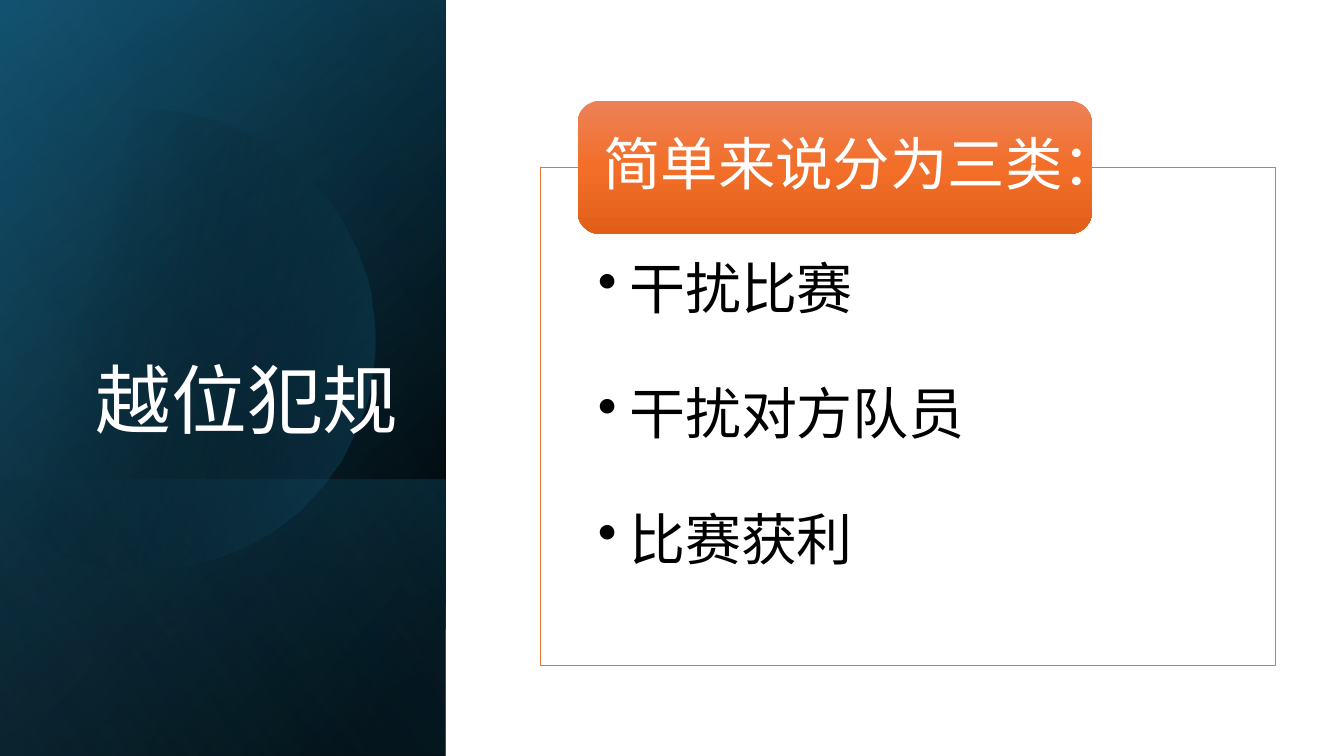
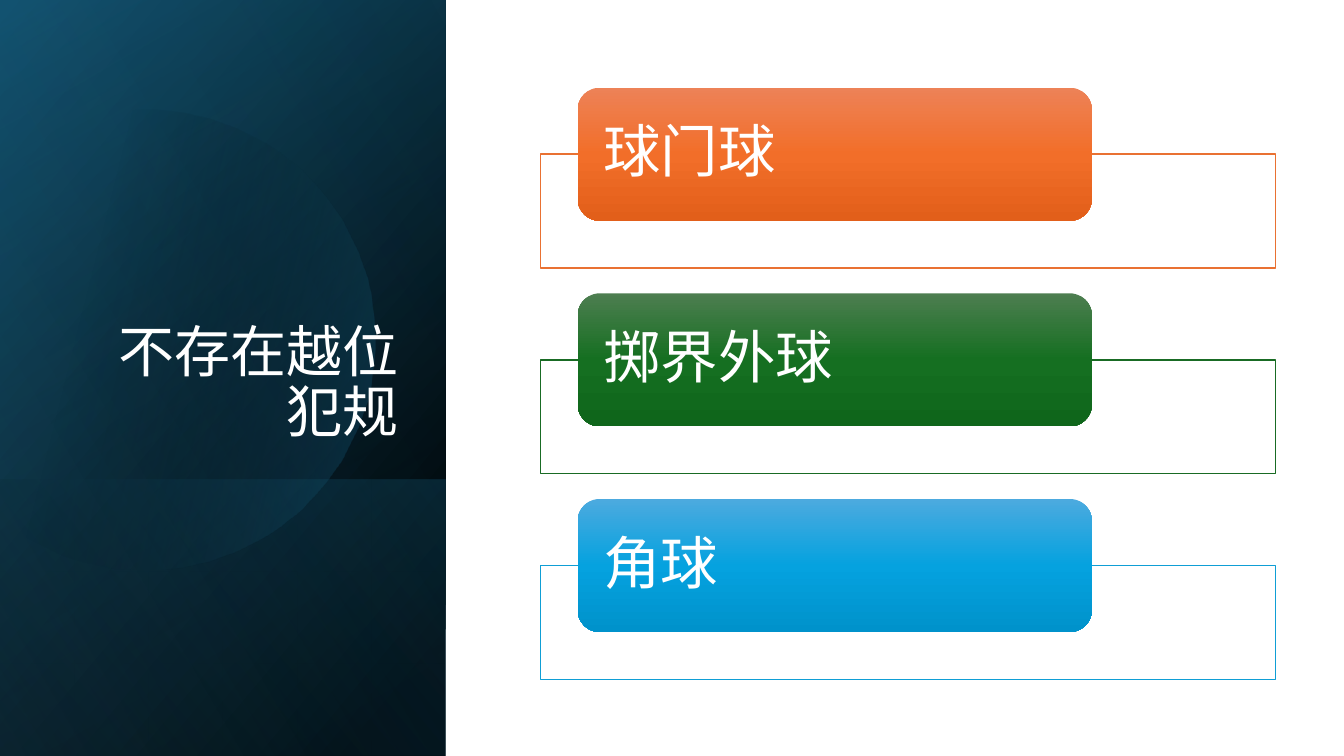
import math
from dataclasses import dataclass

from lxml import etree
from pptx import Presentation
from pptx import util as u
from pptx.dml.color import RGBColor
from pptx.enum import lang, shapes, text
from pptx.oxml.ns import qn

PX = 9144
SLIDE_W, SLIDE_H = 1333, 750
PANEL_W = 442
FONT = "Noto Sans CJK SC"
COLORS = {
    "black": "000000",
    "white": "FFFFFF",
    "navy": "104862",
    "teal": "156082",
    "sky": "46B1E1",
    "orange": "E97132",
    "green": "196B24",
    "blue": "0F9ED5",
}
CARD_SHADES = {
    "orange": ("ED8257", "F26E29", "E25F1A"),
    "green": ("4D7E50", "156F21", "0F661B"),
    "blue": ("4CAADF", "05A2DF", "0092CB"),
}


@dataclass(frozen=True)
class Stop:
    position: int
    color: str
    opacity: int = 100


@dataclass(frozen=True)
class Layer:
    top: int
    angle: int
    stops: tuple[Stop, ...]


@dataclass(frozen=True)
class Category:
    label: str
    accent: str
    top: int
    frame_height: int
    items: tuple[str, ...] = ()


@dataclass(frozen=True)
class Topic:
    title: str
    title_size: int
    categories: tuple[Category, ...]


BLACK, TEAL, SKY = COLORS["black"], COLORS["teal"], COLORS["sky"]
LAYERS_BELOW_DISC = (
    Layer(0, 50, (Stop(8, BLACK), Stop(100, COLORS["navy"]))),
    Layer(0, 30, (Stop(0, BLACK, 0), Stop(99, TEAL, 46))),
    Layer(476, 130, (Stop(2, TEAL, 29), Stop(100, BLACK, 30))),
)
DISC_STOPS = (Stop(29, BLACK, 0), Stop(100, TEAL, 43))
LAYER_ABOVE_DISC = Layer(0, 120, (Stop(0, BLACK, 0), Stop(99, SKY, 11)))

RESTARTS = (("球门球", "orange"), ("掷界外球", "green"), ("角球", "blue"))
TOPICS = (
    Topic("越位犯规", 54, (
        Category("简单来说分为三类：", "orange", 100, 494,
                 ("干扰比赛", "干扰对方队员", "比赛获利")),
    )),
    Topic("不存在越位犯规", 40, tuple(
        Category(label, accent, 87 + 204 * row, 113)
        for row, (label, accent) in enumerate(RESTARTS)
    )),
)


def px(*lengths: int) -> list[int]:
    return [round(length * PX) for length in lengths]


def rgb(name: str) -> RGBColor:
    return RGBColor.from_string(COLORS[name])


def fill_gradient(shape, stops: tuple[Stop, ...], angle: int) -> None:
    shape.shadow.inherit = False
    shape.line.fill.background()
    shape.fill.gradient()
    gradient = shape._element.spPr.find(qn("a:gradFill"))
    for child in list(gradient):
        gradient.remove(child)
    gradient.set("rotWithShape", "1")
    stop_list = etree.SubElement(gradient, qn("a:gsLst"))
    for stop in stops:
        mark = etree.SubElement(stop_list, qn("a:gs"), pos=str(stop.position * 1000))
        color = etree.SubElement(mark, qn("a:srgbClr"), val=stop.color)
        if stop.opacity < 100:
            etree.SubElement(color, qn("a:alpha"), val=str(stop.opacity * 1000))
    etree.SubElement(gradient, qn("a:lin"), ang=str(angle * 60000), scaled="0")


def style_paragraph(paragraph, size: int, color: str) -> None:
    paragraph.line_spacing = 0.9
    font = paragraph.font
    font.size = u.Pt(size)
    font.color.rgb = rgb(color)
    font.name = FONT
    font.language_id = lang.MSO_LANGUAGE_ID.SIMPLIFIED_CHINESE
    latin = font._element.find(qn("a:latin"))
    latin.addnext(etree.Element(qn("a:ea"), typeface=FONT))


def set_margins(frame, left: int, top: int, right: int, bottom: int) -> None:
    frame.word_wrap = True
    frame.margin_left, frame.margin_top, frame.margin_right, frame.margin_bottom = px(
        left, top, right, bottom)


def draw_layer(slide, layer: Layer) -> None:
    height = SLIDE_H - layer.top
    left = (PANEL_W - height) / 2
    top = layer.top + (height - PANEL_W) / 2
    band = slide.shapes.add_shape(
        shapes.MSO_SHAPE.RECTANGLE, *px(left, top, height, PANEL_W))
    band.rotation = 90
    band._element.spPr.find(qn("a:xfrm")).set("flipH", "1")
    fill_gradient(band, layer.stops, layer.angle)


def draw_disc(slide) -> None:
    center_x, center_y, radius, cut_x, steps = 144, 337, 228, -15, 120
    limit = math.acos((cut_x - center_x) / radius)
    angles = [limit * (2 * step / steps - 1) for step in range(steps + 1)]
    rim = [(center_x + radius * math.cos(a), center_y + radius * math.sin(a))
           for a in angles]
    outline = slide.shapes.build_freeform(*rim[0], scale=float(PX))
    outline.add_line_segments(rim[1:], close=True)
    fill_gradient(outline.convert_to_shape(), DISC_STOPS, 14)


def draw_title(slide, topic: Topic) -> None:
    title = slide.shapes.add_textbox(*px(64, 184, 341, 262)).text_frame
    set_margins(title, 10, 5, 10, 5)
    title.vertical_anchor = text.MSO_ANCHOR.BOTTOM
    paragraph = title.paragraphs[0]
    paragraph.text = topic.title
    paragraph.alignment = text.PP_ALIGN.RIGHT
    style_paragraph(paragraph, topic.title_size, "white")


def write_items(frame, items: tuple[str, ...]) -> None:
    set_margins(frame, 57, 93, 57, 31)
    frame.vertical_anchor = text.MSO_ANCHOR.TOP
    for index, item in enumerate(items):
        paragraph = frame.add_paragraph() if index else frame.paragraphs[0]
        paragraph.text = item
        paragraph.alignment = text.PP_ALIGN.LEFT
        properties = paragraph._p.get_or_add_pPr()
        indent = px(31)[0]
        properties.set("marL", str(indent))
        properties.set("indent", str(-indent))
        etree.SubElement(properties, qn("a:buChar"), char="•")
        if index:
            paragraph.space_before = u.Pt(46.5)
        style_paragraph(paragraph, 40, "black")


def draw_category(slide, category: Category) -> None:
    frame = slide.shapes.add_shape(
        shapes.MSO_SHAPE.RECTANGLE,
        *px(536, category.top + 66, 729, category.frame_height))
    frame.shadow.inherit = False
    frame.fill.solid()
    frame.fill.fore_color.rgb = rgb("white")
    white = frame._element.spPr.find(qn("a:solidFill"))[0]
    etree.SubElement(white, qn("a:alpha"), val="90000")
    frame.line.color.rgb = rgb(category.accent)
    frame.line.width = u.Pt(1)
    if category.items:
        write_items(frame.text_frame, category.items)

    card = slide.shapes.add_shape(
        shapes.MSO_SHAPE.ROUNDED_RECTANGLE, *px(573, category.top, 510, 132))
    shades = CARD_SHADES[category.accent]
    fill_gradient(card, tuple(Stop(50 * i, shade) for i, shade in enumerate(shades)), 90)
    label = card.text_frame
    set_margins(label, 19, 0, 19, 0)
    label.vertical_anchor = text.MSO_ANCHOR.MIDDLE
    paragraph = label.paragraphs[0]
    paragraph.text = category.label
    paragraph.alignment = text.PP_ALIGN.LEFT
    style_paragraph(paragraph, 41, "white")


def draw_topic(deck, topic: Topic) -> None:
    slide = deck.slides.add_slide(deck.slide_layouts[6])
    for layer in LAYERS_BELOW_DISC:
        draw_layer(slide, layer)
    draw_disc(slide)
    draw_layer(slide, LAYER_ABOVE_DISC)
    draw_title(slide, topic)
    for category in topic.categories:
        draw_category(slide, category)


def main() -> None:
    deck = Presentation()
    deck.slide_width, deck.slide_height = px(SLIDE_W, SLIDE_H)
    for topic in TOPICS:
        draw_topic(deck, topic)
    deck.save("out.pptx")


if __name__ == "__main__":
    main()
